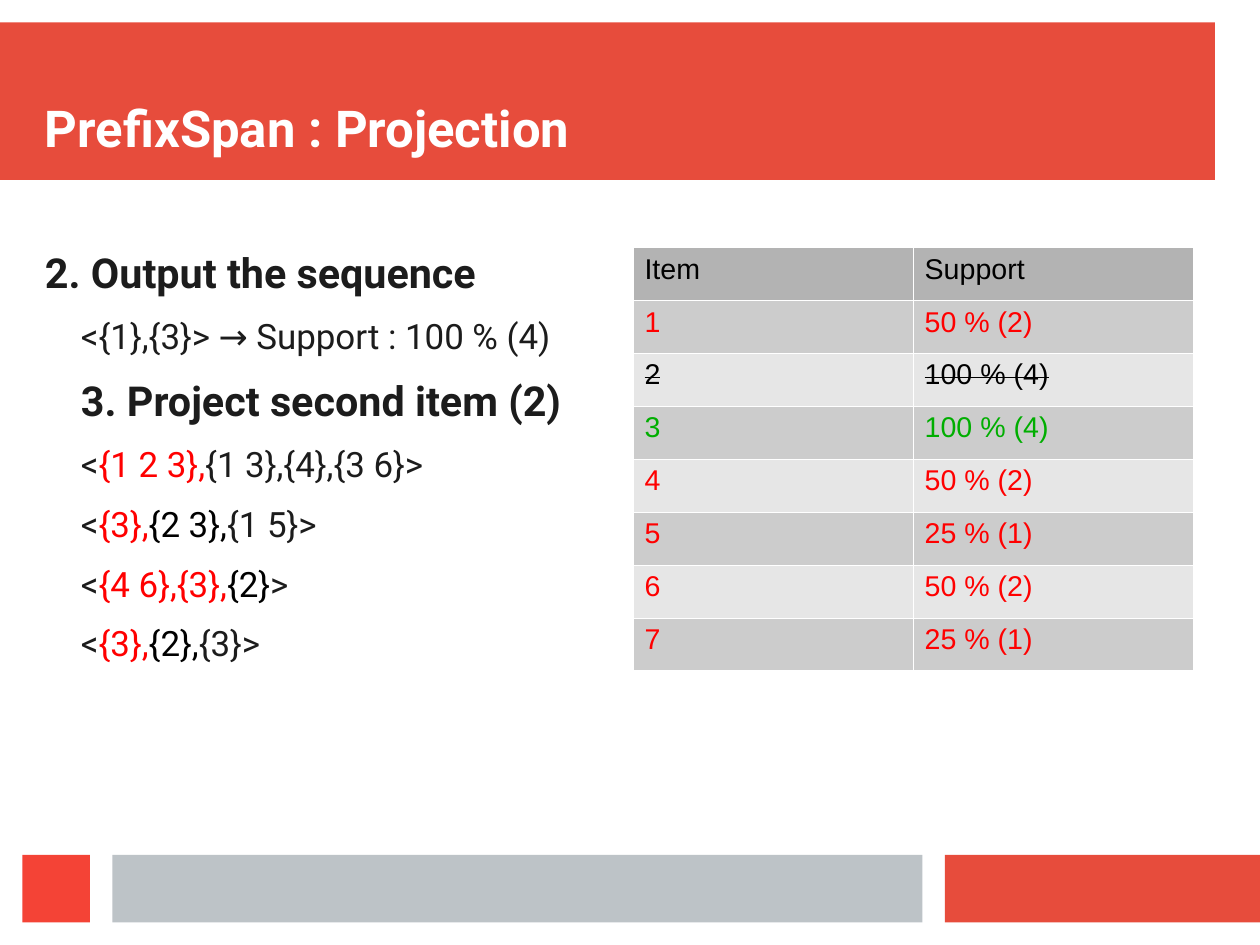
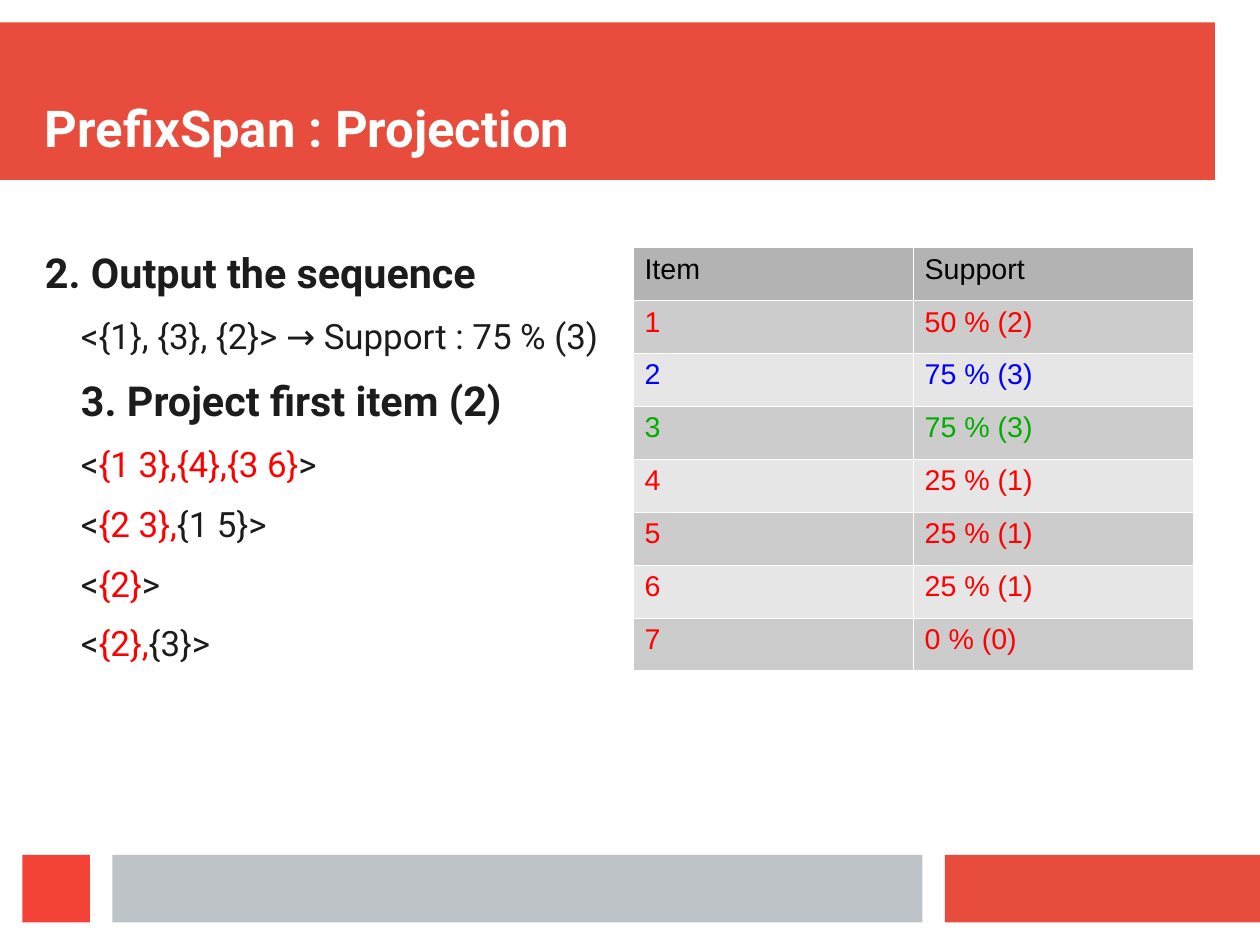
import lxml.etree
import pptx
import pptx.dml.color
import pptx.enum.shapes
import pptx.enum.text
import pptx.oxml.ns
import pptx.util

Cm = pptx.util.Cm
Pt = pptx.util.Pt

BRAND, ACCENT, SILVER = "E74C3C", "F44336", "BDC3C7"
WHITE, BLACK, INK = "FFFFFF", "000000", "1C1C1C"
RED, GREEN, BLUE = "FF0000", "00AE00", "0000FF"
HEADER_FILL, ROW_FILLS = "B3B3B3", ("CCCCCC", "E6E6E6")
TEXT_FONT, TABLE_FONT = "Roboto", "Arial"

# left, top, width, height in centimetres
BANDS = [
    ((0, 0.5, 27, 3.5), BRAND),
    ((21, 19, 7, 1.5), BRAND),
    ((2.5, 19, 18, 1.5), SILVER),
    ((0.5, 19, 1.5, 1.5), ACCENT),
]
TITLE_BOX = (1, 1, 26, 2.5)
STEPS_BOX = (1, 5.5, 12.45, 13)
TABLE_BOX = (14.07, 5.5, 12.45, 9.4)

# Each sequence is a list of (text, colour) pieces; each support row is (text, colour, struck).
SLIDES = [
    {
        "title": "PrefixSpan : Projection",
        "output": "<{1},{3}> → Support : 100 % (4)",
        "project": "3. Project second item (2)",
        "sequences": [
            [("<", INK), ("{1 2 3},", RED), ("{1 3},{4},{3 6}>", INK)],
            [("<", INK), ("{3},", RED), ("{2 3},", BLACK), ("{1 5}>", INK)],
            [("<", INK), ("{4 6},{3},", RED), ("{2}", BLACK), (">", INK)],
            [("<", INK), ("{3},", RED), ("{2},", BLACK), ("{3}>", INK)],
        ],
        "support": [
            ("50 % (2)", RED, False),
            ("100 % (4)", BLACK, True),
            ("100 % (4)", GREEN, False),
            ("50 % (2)", RED, False),
            ("25 % (1)", RED, False),
            ("50 % (2)", RED, False),
            ("25 % (1)", RED, False),
        ],
    },
    {
        "title": "PrefixSpan : Projection",
        "output": "<{1}, {3}, {2}> → Support : 75 % (3)",
        "project": "3. Project first item (2)",
        "sequences": [
            [("<", INK), ("{1 3},{4},{3 6}", RED), (">", INK)],
            [("<", INK), ("{2 3},", RED), ("{1 5}>", INK)],
            [("<", INK), ("{2}", RED), (">", INK)],
            [("<", INK), ("{2},", RED), ("{3}>", INK)],
        ],
        "support": [
            ("50 % (2)", RED, False),
            ("75 % (3)", BLUE, False),
            ("75 % (3)", GREEN, False),
            ("25 % (1)", RED, False),
            ("25 % (1)", RED, False),
            ("25 % (1)", RED, False),
            ("0 % (0)", RED, False),
        ],
    },
]


def rgb(value):
    return pptx.dml.color.RGBColor.from_string(value)


def to_cm(box):
    return [Cm(length) for length in box]


def set_font(font, name, size, color, bold=False):
    font.name = name
    font.size = Pt(size)
    font.bold = bold
    font.color.rgb = rgb(color)


def clear_margins(frame):
    frame.margin_left = frame.margin_top = frame.margin_right = frame.margin_bottom = 0
    frame.word_wrap = True
    frame.auto_size = pptx.enum.text.MSO_AUTO_SIZE.NONE


def add_bands_to_layout(layout, slide):
    """Draw the bands on a slide, then move them behind the layout's placeholders."""
    for index, (box, color) in enumerate(BANDS):
        band = slide.shapes.add_shape(
            pptx.enum.shapes.MSO_SHAPE.RECTANGLE, *to_cm(box))
        band.shadow.inherit = False
        band.fill.solid()
        band.fill.fore_color.rgb = rgb(color)
        band.line.fill.background()
        layout.shapes.element.insert(2 + index, band.element)


def set_title(slide, text, box):
    title = slide.shapes.title
    title.left, title.top, title.width, title.height = to_cm(box)
    frame = title.text_frame
    clear_margins(frame)
    frame.vertical_anchor = pptx.enum.text.MSO_ANCHOR.BOTTOM
    frame.text = text
    paragraph = frame.paragraphs[0]
    paragraph.alignment = pptx.enum.text.PP_ALIGN.LEFT
    set_font(paragraph.font, TEXT_FONT, 32, WHITE, bold=True)


def add_steps(slide, content, box):
    frame = slide.shapes.add_textbox(*to_cm(box)).text_frame
    clear_margins(frame)
    # pieces, is heading, indent in centimetres
    lines = [
        ([("2. Output the sequence", INK)], True, 0),
        ([(content["output"], INK)], False, 0.8),
        ([(content["project"], INK)], True, 0.8),
    ]
    lines += [(pieces, False, 0.8) for pieces in content["sequences"]]
    for index, (pieces, heading, indent) in enumerate(lines):
        paragraph = frame.add_paragraph() if index else frame.paragraphs[0]
        properties = paragraph._p.get_or_add_pPr()
        properties.set("marL", str(Cm(indent)))
        properties.set("indent", "0")
        paragraph.space_after = Pt(11.4 if heading else 11.3)
        set_font(paragraph.font, TEXT_FONT, 26 if heading else 22, INK, bold=heading)
        for text, color in pieces:
            run = paragraph.add_run()
            run.text = text
            if color != INK:
                run.font.color.rgb = rgb(color)


def set_borders(cell, color, width):
    properties = cell._tc.get_or_add_tcPr()
    for index, side in enumerate(("a:lnL", "a:lnR", "a:lnT", "a:lnB")):
        line = lxml.etree.Element(pptx.oxml.ns.qn(side), w=str(Pt(width)))
        fill = lxml.etree.SubElement(line, pptx.oxml.ns.qn("a:solidFill"))
        lxml.etree.SubElement(fill, pptx.oxml.ns.qn("a:srgbClr"), val=color)
        properties.insert(index, line)


def fill_cell(cell, text, color, struck, fill):
    cell.fill.solid()
    cell.fill.fore_color.rgb = rgb(fill)
    set_borders(cell, WHITE, 0.06)
    paragraph = cell.text_frame.paragraphs[0]
    set_font(paragraph.font, TABLE_FONT, 18, color)
    run = paragraph.add_run()
    run.text = text
    if struck:
        run._r.get_or_add_rPr().set("strike", "sngStrike")


def add_support_table(slide, support, box):
    rows = [("Item", "Support", BLACK, False, HEADER_FILL)]
    for index, (text, color, struck) in enumerate(support):
        rows.append((str(index + 1), text, color, struck, ROW_FILLS[index % 2]))
    left, top, width, height = to_cm(box)
    table = slide.shapes.add_table(len(rows), 2, left, top, width, height).table
    table.first_row = table.horz_banding = False
    for row_index, (item, text, color, struck, fill) in enumerate(rows):
        for column, value in enumerate((item, text)):
            fill_cell(table.cell(row_index, column), value, color, struck, fill)


def main():
    presentation = pptx.Presentation()
    presentation.slide_width, presentation.slide_height = Cm(28), Cm(21)
    layout = presentation.slide_layouts[5]
    for index, content in enumerate(SLIDES):
        slide = presentation.slides.add_slide(layout)
        if index == 0:
            add_bands_to_layout(layout, slide)
        set_title(slide, content["title"], TITLE_BOX)
        add_steps(slide, content, STEPS_BOX)
        add_support_table(slide, content["support"], TABLE_BOX)
    presentation.save("out.pptx")


if __name__ == "__main__":
    main()
